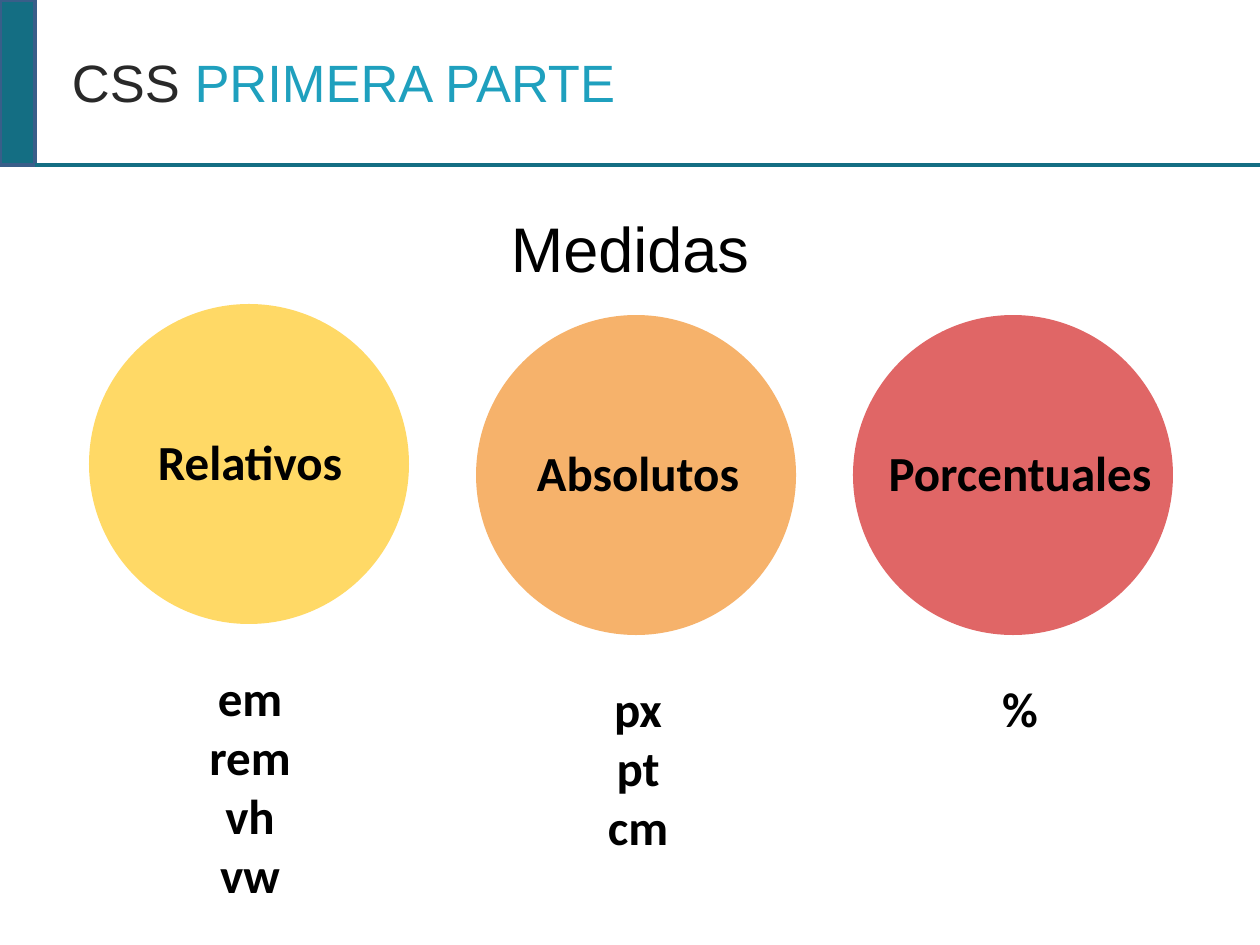
import pptx
import pptx.dml.color
import pptx.enum.shapes
import pptx.enum.text
import pptx.oxml.ns
import pptx.util
import lxml.etree

SCALE = 914400 / 126
HEX = {
    "dark": "292929", "cyan": "1FA0BE", "teal": "146E83", "edge": "395E89",
    "black": "000000", "gold": "FFD966", "peach": "F6B26B", "coral": "E06666",
}
DISC = 320
# label, units, colour, disc left and top, text left and width
GROUPS = [
    ("Relativos", ["em", "rem", "vh", "vw"], "gold", 89, 304, 143, 214),
    ("Absolutos", ["px", "pt", "cm"], "peach", 476, 315, 523, 230),
    ("Porcentuales", ["%"], "coral", 853, 315, 872, 296),
]


def px(num):
    return pptx.util.Emu(round(num * SCALE))


def rgb(name):
    return pptx.dml.color.RGBColor.from_string(HEX[name])


def place(item, *box):
    item.left, item.top, item.width, item.height = map(px, box)


def set_frame(frame, side, edge):
    frame.word_wrap = True
    frame.auto_size = pptx.enum.text.MSO_AUTO_SIZE.NONE
    frame.margin_left = frame.margin_right = px(side)
    frame.margin_top = frame.margin_bottom = px(edge)


def add_run(para, text, size, font, tint, bold=False):
    run = para.add_run()
    run.text = text
    run.font.size = pptx.util.Pt(size)
    run.font.name = font
    run.font.bold = bold
    run.font.color.rgb = rgb(tint)


def add_form(slide, kind, box, fill, edge=None):
    form = slide.shapes.add_shape(kind, *map(px, box))
    form.shadow.inherit = False
    form.fill.solid()
    form.fill.fore_color.rgb = rgb(fill)
    if edge:
        form.line.color.rgb = rgb(edge)
        form.line.width = pptx.util.Pt(2)
    else:
        form.line.fill.background()


def add_rule(slide, left, right, top):
    rule = slide.shapes.add_connector(
        pptx.enum.shapes.MSO_CONNECTOR.STRAIGHT,
        px(left), px(top), px(right), px(top))
    rule.line.color.rgb = rgb("teal")
    rule.line.width = pptx.util.Pt(1.75)
    lxml.etree.SubElement(rule._element.spPr, pptx.oxml.ns.qn("a:effectLst"))


def fill_title(slide):
    title = slide.shapes.title
    place(title, 59, 0, 1027, 164)
    frame = title.text_frame
    set_frame(frame, 13, 6)
    frame.vertical_anchor = pptx.enum.text.MSO_ANCHOR.MIDDLE
    para = frame.paragraphs[0]
    para.alignment = pptx.enum.text.PP_ALIGN.LEFT
    add_run(para, "CSS ", 30, "Arial", "dark")
    add_run(para, "PRIMERA PARTE", 30, "Arial", "cyan")


def fill_body(slide):
    body = slide.placeholders[1]
    place(body, 0, 204, 1260, 719)
    set_frame(body.text_frame, 13, 6)
    para = body.text_frame.paragraphs[0]
    para.alignment = pptx.enum.text.PP_ALIGN.CENTER
    para.space_before = pptx.util.Pt(0)
    props = para._p.get_or_add_pPr()
    props.set("marL", "0")
    props.set("indent", "0")
    lxml.etree.SubElement(props, pptx.oxml.ns.qn("a:buNone"))
    add_run(para, "Medidas", 36, "Arial", "black")


def add_group(slide, label, units, tint, left, top, start, width):
    """Draw a disc with its label, and the units listed below the disc."""
    add_form(slide, pptx.enum.shapes.MSO_SHAPE.OVAL,
             (left, top, DISC, DISC), tint)
    box = slide.shapes.add_textbox(
        *map(px, (start, top + 115, width, 91)))
    frame = box.text_frame
    set_frame(frame, 10, 13)
    for row, text in enumerate([label, *units]):
        para = frame.add_paragraph() if row else frame.paragraphs[0]
        para.alignment = pptx.enum.text.PP_ALIGN.CENTER
        if row == 1:
            para.space_before = pptx.util.Pt(101)
        add_run(para, text, 28, "Calibri", "black", True)


def main():
    deck = pptx.Presentation()
    deck.slide_width, deck.slide_height = px(1260), px(945)
    slide = deck.slides.add_slide(deck.slide_layouts[1])
    fill_title(slide)
    fill_body(slide)
    add_form(slide, pptx.enum.shapes.MSO_SHAPE.RECTANGLE,
             (0, 0, 35, 165), "teal", "edge")
    add_rule(slide, 35, 1260, 165)
    for group in GROUPS:
        add_group(slide, *group)
    deck.save("out.pptx")


if __name__ == "__main__":
    main()
